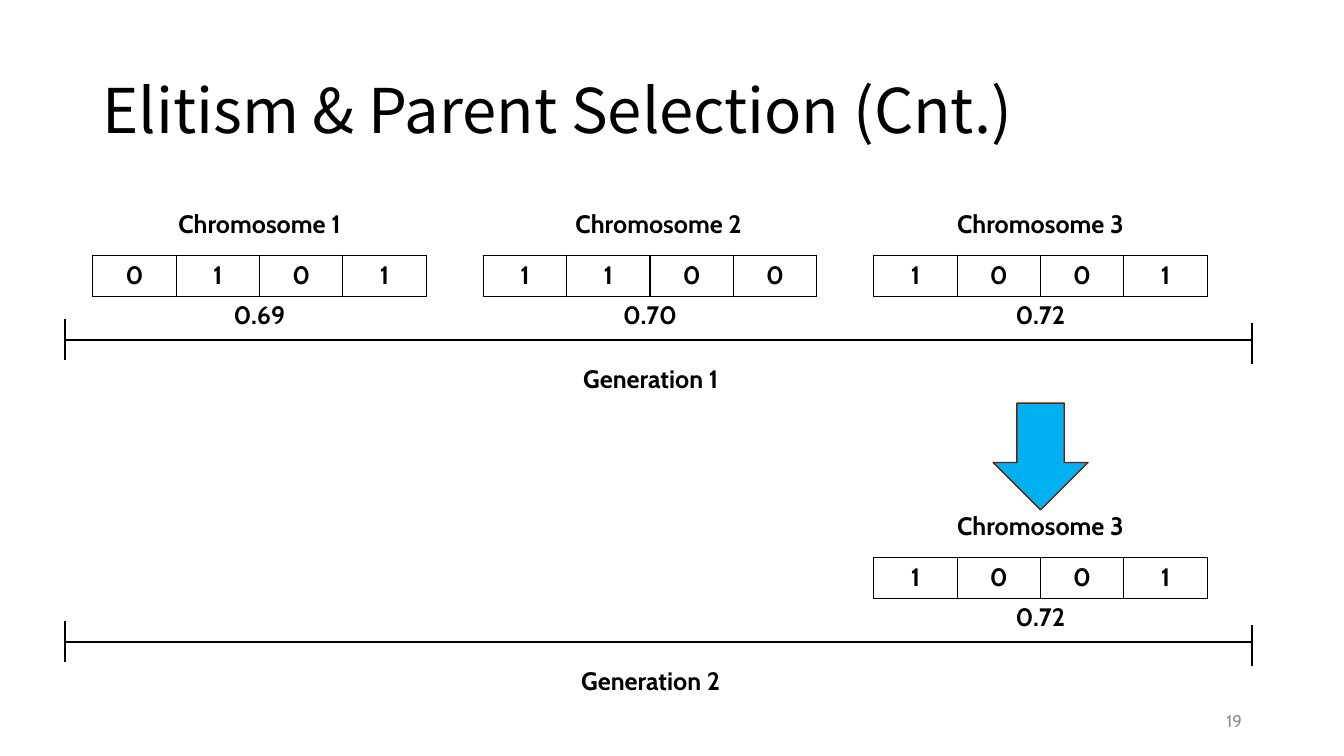
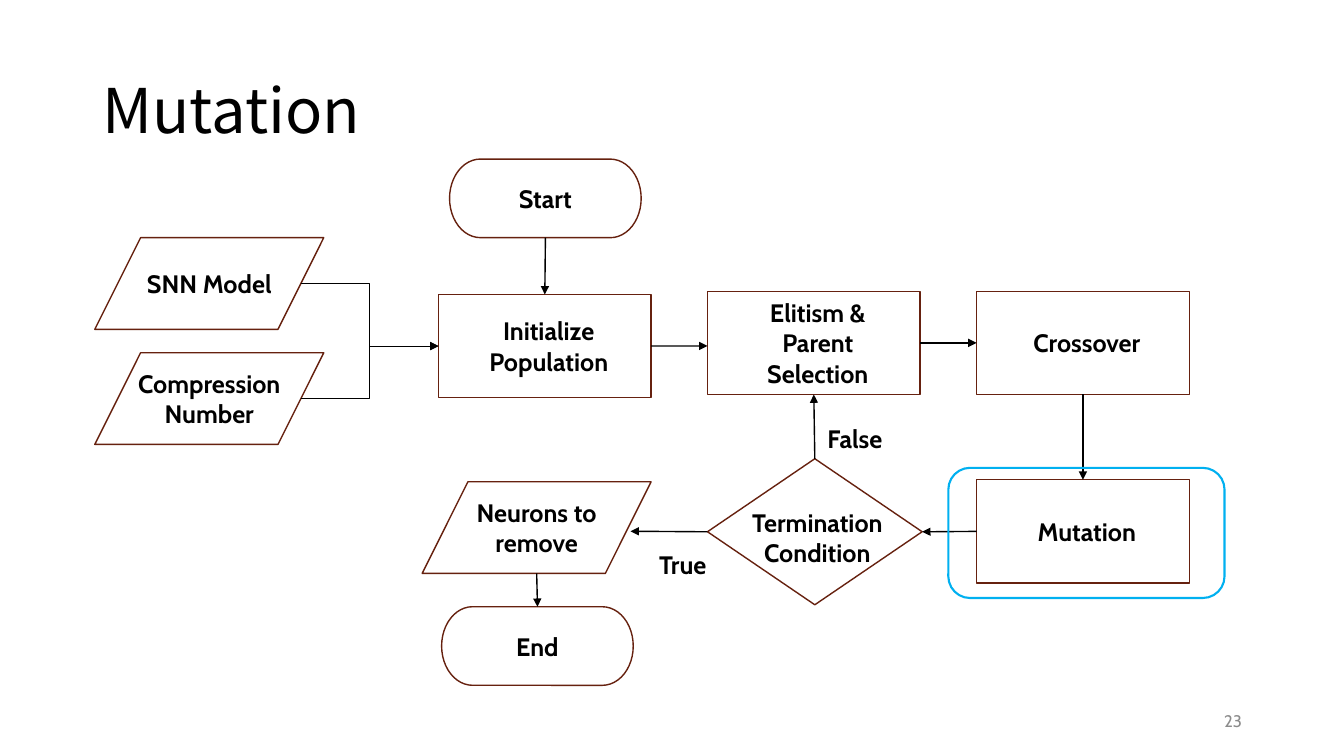
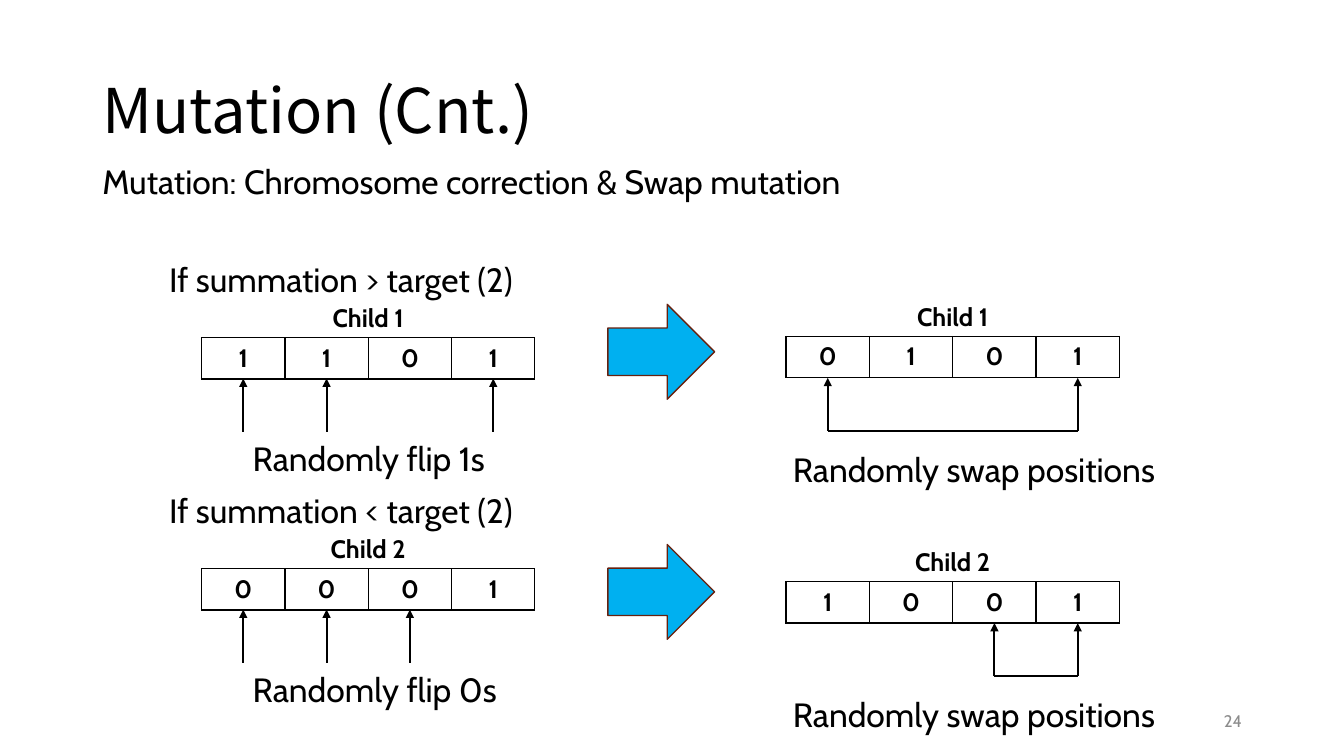
from lxml import etree
from pptx import Presentation
from pptx.dml.color import RGBColor
from pptx.enum.shapes import MSO_CONNECTOR, MSO_SHAPE
from pptx.enum.text import MSO_ANCHOR, PP_ALIGN
from pptx.oxml.ns import qn
from pptx.util import Cm, Pt

BLACK = RGBColor(0x00, 0x00, 0x00)
GREY = RGBColor(0x8C, 0x8C, 0x8C)
BLUE = RGBColor(0x00, 0xB0, 0xF0)
BROWN = RGBColor(0x66, 0x21, 0x0F)

TITLE_FONT = "Noto Sans CJK JP"
BODY_FONT = "Cabin"

LEFT, CENTER, RIGHT = PP_ALIGN.LEFT, PP_ALIGN.CENTER, PP_ALIGN.RIGHT
MIDDLE, TOP = MSO_ANCHOR.MIDDLE, MSO_ANCHOR.TOP
STRAIGHT, ELBOW = MSO_CONNECTOR.STRAIGHT, MSO_CONNECTOR.ELBOW
ROUNDED = MSO_SHAPE.ROUNDED_RECTANGLE
RIGHT_ARROW, DOWN_ARROW = MSO_SHAPE.RIGHT_ARROW, MSO_SHAPE.DOWN_ARROW
PROCESS = MSO_SHAPE.FLOWCHART_PROCESS
TERMINATOR = MSO_SHAPE.FLOWCHART_TERMINATOR
DATA = MSO_SHAPE.FLOWCHART_DATA
DECISION = MSO_SHAPE.FLOWCHART_DECISION

# Lengths below are centimetres.
GENE_WIDTH, GENE_HEIGHT = 2.1, 1.04
LABEL_WIDTH, LABEL_HEIGHT = 7.2, 1.02
BODY_HEIGHT = 1.27
ARROW_LENGTH, ARROW_BREADTH = 2.69, 2.39

# Width, height, and left, top, right, bottom text insets of each step type.
STEP_STYLES = {
    PROCESS: (5.36, 2.6, (1, 0, 0.8, 0)),
    TERMINATOR: (4.83, 1.98, (0, 0, 0, 0)),
    DATA: (5.77, 2.31, (0, 0, 0, 0)),
    DECISION: (5.41, 3.68, (0.13, 0.3, 0, 0)),
}

STEPS = {
    "init": (PROCESS, 11.05, 7.42, ["Initialize Population"]),
    "start": (TERMINATOR, 11.33, 4.01, ["Start"]),
    "select": (PROCESS, 17.83, 7.34, ["Elitism & Parent Selection"]),
    "cross": (PROCESS, 24.61, 7.34, ["Crossover"]),
    "mutate": (PROCESS, 24.61, 12.09, ["Mutation"]),
    "check": (DECISION, 17.83, 11.56, ["Termination", "Condition"]),
    "end": (TERMINATOR, 11.13, 15.29, ["End"]),
    "number": (DATA, 2.39, 8.89, ["Compression", "Number"]),
    "model": (DATA, 2.39, 5.99, ["SNN Model"]),
    "neurons": (DATA, 10.64, 12.14, ["Neurons to", "remove"]),
}

# Points on a step, as fractions of its width and height.
AT_LEFT, AT_RIGHT, AT_TOP, AT_BOTTOM = (0, 0.5), (1, 0.5), (0.5, 0), (0.5, 1)
AT_SLANT = (0.9, 0.5)

FLOWS = [
    ("init", AT_RIGHT, "select", (0, 0.53), STRAIGHT, 1),
    ("start", AT_BOTTOM, "init", AT_TOP, STRAIGHT, 1),
    ("select", AT_RIGHT, "cross", AT_LEFT, STRAIGHT, 1),
    ("cross", AT_BOTTOM, "mutate", AT_TOP, STRAIGHT, 1),
    ("mutate", AT_LEFT, "check", AT_RIGHT, STRAIGHT, 1),
    ("check", AT_TOP, "select", AT_BOTTOM, STRAIGHT, 1),
    ("check", AT_LEFT, "neurons", (0.91, 0.54), STRAIGHT, 1),
    ("neurons", AT_BOTTOM, "end", AT_TOP, STRAIGHT, 1),
    ("model", AT_SLANT, "init", AT_LEFT, ELBOW, 0.5),
    ("number", AT_SLANT, "init", AT_LEFT, ELBOW, 0.5),
]


def style_text(frame, lines, size, bold=False, align=LEFT, color=BLACK,
               font=BODY_FONT):
    for index, line in enumerate(lines):
        para = frame.paragraphs[0] if index == 0 else frame.add_paragraph()
        para.text = line
        para.alignment = align
        para.font.size = Pt(size)
        para.font.bold = bold
        para.font.name = font
        para.font.color.rgb = color


def add_text(page, left, top, width, height, text, size, anchor=TOP, **style):
    box = page.shapes.add_textbox(Cm(left), Cm(top), Cm(width), Cm(height))
    frame = box.text_frame
    frame.word_wrap = True
    frame.vertical_anchor = anchor
    style_text(frame, [text], size, **style)
    return frame


def add_label(page, left, top, text, width=LABEL_WIDTH, align=CENTER):
    add_text(page, left, top, width, LABEL_HEIGHT, text, 18, bold=True,
             align=align)


def add_body(page, left, top, width, text):
    add_text(page, left, top, width, BODY_HEIGHT, text, 24)


def add_line(page, start, end, weight=1.5, head=False, kind=STRAIGHT):
    """Draw a connector between two points, with a head at the end if asked."""
    line = page.shapes.add_connector(kind, *start, *end)
    line.line.color.rgb = BLACK
    line.line.width = Pt(weight)
    if head:
        outline = line.line._get_or_add_ln()
        etree.SubElement(outline, qn("a:tailEnd"), type="triangle")
    etree.SubElement(line._element.spPr, qn("a:effectLst"))


def add_outline(page, kind, left, top, width, height, color=BROWN, weight=1):
    shape = page.shapes.add_shape(kind, Cm(left), Cm(top), Cm(width),
                                  Cm(height))
    shape.shadow.inherit = False
    shape.fill.background()
    shape.line.color.rgb = color
    shape.line.width = Pt(weight)
    return shape


def add_block_arrow(page, kind, left, top, width, height):
    arrow = add_outline(page, kind, left, top, width, height)
    arrow.fill.solid()
    arrow.fill.fore_color.rgb = BLUE


def add_page(deck, title, number):
    page = deck.slides.add_slide(deck.slide_layouts[6])
    frame = add_text(page, 2.33, 1.01, 29.21, 3.68, title, 44, MIDDLE,
                     font=TITLE_FONT)
    frame.paragraphs[0].line_spacing = 0.9
    add_text(page, 23.93, 17.65, 7.62, 1.02, str(number), 12, MIDDLE,
             align=RIGHT, color=GREY)
    return page


def border_cell(cell):
    properties = cell._tc.get_or_add_tcPr()
    for index, side in enumerate(("a:lnL", "a:lnR", "a:lnT", "a:lnB")):
        border = etree.Element(qn(side), w=str(Pt(1)))
        fill = etree.SubElement(border, qn("a:solidFill"))
        etree.SubElement(fill, qn("a:srgbClr"), val=str(BLACK))
        properties.insert(index, border)


def add_chromosome(page, left, top, name, genes, name_gap=1.02, shift=0):
    """Place a row of genes at left, top with its name above it."""
    table = page.shapes.add_table(
        1, len(genes), Cm(left), Cm(top), Cm(GENE_WIDTH * len(genes)),
        Cm(GENE_HEIGHT)).table
    table.first_row = table.horz_banding = False
    table.rows[0].height = Cm(GENE_HEIGHT)
    for column, gene in enumerate(genes):
        table.columns[column].width = Cm(GENE_WIDTH)
        cell = table.cell(0, column)
        cell.fill.background()
        style_text(cell.text_frame, [gene], 18, bold=True, align=CENTER)
        border_cell(cell)
    add_label(page, left + 0.6 + shift, top - name_gap, name)


def gene_center(left, index):
    return left + GENE_WIDTH * (index + 0.5)


def add_generation(page, top, number, chromosomes):
    """Place scored chromosomes at top, over a labelled span."""
    for left, name, genes, score, shift in chromosomes:
        add_chromosome(page, left, top, name, genes, 1.3, shift)
        add_label(page, left + 0.6, top + 0.99, score)
    base = top + 2.13
    span_left, span_right = 1.63, 31.55
    add_line(page, (Cm(span_left), Cm(base)), (Cm(span_right), Cm(base)))
    for x, rise in ((span_left, 0.52), (span_right, 0.42)):
        add_line(page, (Cm(x), Cm(base - rise)),
                 (Cm(x), Cm(base - rise + 1.04)))
    add_label(page, 12.8, base + 0.46, f"Generation {number}")


def add_step(page, kind, left, top, lines):
    width, height, insets = STEP_STYLES[kind]
    step = add_outline(page, kind, left, top, width, height)
    frame = step.text_frame
    frame.word_wrap = kind == PROCESS
    frame.vertical_anchor = MIDDLE
    (frame.margin_left, frame.margin_top,
     frame.margin_right, frame.margin_bottom) = map(Cm, insets)
    style_text(frame, lines, 18, bold=True, align=CENTER)
    return step


def point_on(step, fraction):
    across, down = fraction
    return (round(step.left + step.width * across),
            round(step.top + step.height * down))


def add_flip(page, left, top, sign, name, genes, digit):
    """Show the genes that hold the digit as candidates for a flip."""
    add_body(page, left, top, 10, f"If summation {sign} target (2)")
    row_left, row_top = left + 1.07, top + 2.11
    add_chromosome(page, row_left, row_top, name, genes)
    for index, gene in enumerate(genes):
        if gene == digit:
            x = Cm(gene_center(row_left, index))
            add_line(page, (x, Cm(row_top + 2.37)), (x, Cm(row_top + 1.03)),
                     head=True)
    add_body(page, left + 2.11, row_top + 2.41, 7.14,
             f"Randomly flip {digit}s")


def add_swap(page, left, top, name, genes, swapped):
    """Join the two swapped genes below their chromosome."""
    add_chromosome(page, left, top, name, genes)
    base = Cm(top + 2.38)
    ends = [Cm(gene_center(left, index)) for index in swapped]
    add_line(page, (ends[0], base), (ends[1], base))
    for x in ends:
        add_line(page, (x, base), (x, Cm(top + 1.04)), head=True)
    add_body(page, left - 0.08, top + 2.7, 10.72, "Randomly swap positions")


def build_selection(deck):
    page = add_page(deck, "Elitism & Parent Selection (Cnt.)", 19)
    best = (22.02, "Chromosome 3", "1001", "0.72", 0)
    add_generation(page, 6.43, 1, [
        (2.34, "Chromosome 1", "0101", "0.69", 0),
        (12.18, "Chromosome 2", "1100", "0.70", 0.22),
        best,
    ])
    add_generation(page, 14.04, 2, [best])
    add_block_arrow(page, DOWN_ARROW, 25.03, 10.16, ARROW_BREADTH,
                    ARROW_LENGTH)


def build_flowchart(deck):
    page = add_page(deck, "Mutation", 23)
    steps = {key: add_step(page, *step) for key, step in STEPS.items()}
    for source, leave, target, enter, kind, weight in FLOWS:
        add_line(page, point_on(steps[source], leave),
                 point_on(steps[target], enter), weight, True, kind)
    add_label(page, 20.6, 10.54, "False", 2.57, LEFT)
    add_label(page, 16.36, 13.72, "True", 2.57, LEFT)
    add_outline(page, ROUNDED, 23.9, 11.79, 6.96, 3.28, BLUE, 1.5)


def build_mutation(deck):
    page = add_page(deck, "Mutation (Cnt.)", 24)
    add_body(page, 2.33, 3.94, 29.21,
             "Mutation: Chromosome correction & Swap mutation")
    add_flip(page, 4.01, 6.4, ">", "Child 1", "1101", "1")
    add_flip(page, 4.01, 12.22, "<", "Child 2", "0001", "0")
    for top in (7.67, 13.72):
        add_block_arrow(page, RIGHT_ARROW, 15.32, top, ARROW_LENGTH,
                        ARROW_BREADTH)
    add_swap(page, 19.81, 8.48, "Child 1", "0101", (0, 3))
    add_swap(page, 19.81, 14.66, "Child 2", "1001", (2, 3))


def main():
    deck = Presentation()
    deck.slide_width, deck.slide_height = Cm(33.87), Cm(19.05)
    build_selection(deck)
    build_flowchart(deck)
    build_mutation(deck)
    deck.save("out.pptx")


if __name__ == "__main__":
    main()
